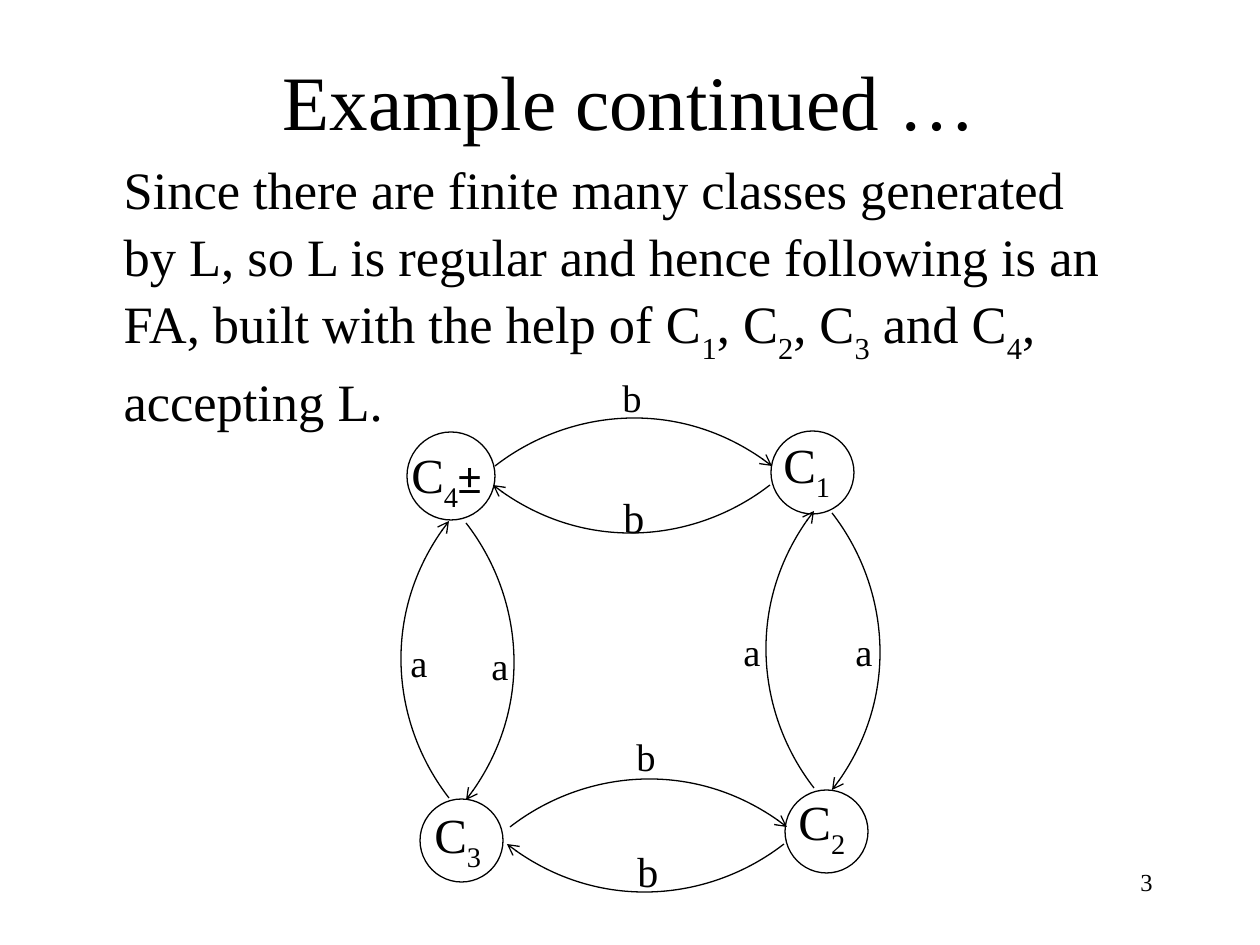
from lxml.etree import SubElement
from pptx import Presentation
from pptx.dml.color import RGBColor
from pptx.enum.shapes import MSO_SHAPE
from pptx.enum.text import MSO_ANCHOR, MSO_AUTO_SIZE, PP_ALIGN
from pptx.oxml.ns import qn
from pptx.util import Pt

SCALE = 914400 / 126
BLACK = RGBColor(0, 0, 0)
WHITE = RGBColor(255, 255, 255)
SERIF = "Times New Roman"
BOW = (0, 72 - 56j, 187 - 70j, 277)
ARCS = [(95, 98, 0), (370, 117, 2), (49, 430, 3), (66, 155, 1),
        (110, 459, 0), (384, 476, 2), (414, 420, 3), (432, 145, 1)]
NODES = [((7, 64, 88), (-1, 70), "C_4"), ((371, 63, 83), (371, 60), "C_1"),
         ((385, 422, 83), (386, 417), "C_2"), ((20, 431, 83), (22, 430), "C_3")]
MARKS = [("b", 22, 210, 0), ("b", 24, 211, 117), ("b", 22, 224, 359),
         ("b", 24, 225, 471), ("a", 22, -2, 265), ("a", 22, 79, 268),
         ("a", 22, 331, 254), ("a", 22, 443, 254)]


def px(*nums):
    """Turn px into EMU."""
    return [round(n * SCALE) for n in nums]


def style(item, **form):
    """Set each format value on an object."""
    for key, value in form.items():
        setattr(item, key, value)


def put(para, text, size, face=SERIF):
    """Add runs, with every second part between underscores lowered."""
    for i, part in enumerate(text.split("_")):
        run = para.add_run()
        run.text = part
        style(run.font, size=Pt(size), name=face)
        run.font.color.rgb = BLACK
        if i % 2:
            run._r.get_or_add_rPr().set("baseline", "-30000")


def fit(shape, box):
    """Move a placeholder to a box and return its first paragraph."""
    style(shape, **dict(zip(("left", "top", "width", "height"), px(*box))))
    style(shape.text_frame, word_wrap=True, auto_size=MSO_AUTO_SIZE.NONE)
    return shape.text_frame.paragraphs[0]


def label(slide, box, text, size):
    """Add a text box and return its paragraph."""
    para = fit(slide.shapes.add_textbox(*px(*box)), box)
    put(para, text, size)
    return para


def head(slide, box):
    """Fill the title."""
    para = fit(slide.shapes.title, box)
    slide.shapes.title.text_frame.vertical_anchor = MSO_ANCHOR.MIDDLE
    para.alignment = PP_ALIGN.CENTER
    put(para, "Example continued …", 44)


def body(slide, box):
    """Fill the body with one plain paragraph."""
    para = fit(slide.placeholders[1], box)
    props = para._p.get_or_add_pPr()
    props.set("marL", str(px(48)[0]))
    props.set("indent", "0")
    SubElement(props, qn("a:buNone"))
    style(para, line_spacing=1.06, space_before=Pt(0))
    put(para, "Since there are finite many classes generated by L, so L is "
        "regular and hence following is an FA, built with the help of "
        "C_1_, C_2_, C_3_ and C_4_, accepting L.", 30)


def arc(slide, x, y, turn):
    """Draw the bow from a point, turned by quarters, with an arrowhead."""
    ends = [complex(x, y) + p * 1j ** turn for p in BOW]
    dots = [tuple(px(p.real, p.imag)) for p in ends]
    pen = slide.shapes.build_freeform(*dots[0])
    pen.add_line_segments(dots[1:], close=False)
    shape = pen.convert_to_shape()
    shape.shadow.inherit = False
    shape.fill.background()
    style(shape.line, width=Pt(0.75))
    shape.line.color.rgb = BLACK
    SubElement(shape.line._get_or_add_ln(), qn("a:tailEnd"), type="arrow")
    lines = shape._element.xpath(".//a:lnTo")
    curve = SubElement(lines[0].getparent(), qn("a:cubicBezTo"))
    for line in lines:
        curve.append(line[0])
        line.getparent().remove(line)


def graph(slide, box):
    """Draw the automaton: states, arcs and letters."""
    left, top = box
    for (x, y, size), (u, v), name in NODES:
        disc = slide.shapes.add_shape(
            MSO_SHAPE.OVAL, *px(left + x, top + y, size, size))
        disc.shadow.inherit = False
        disc.fill.solid()
        disc.fill.fore_color.rgb = WHITE
        disc.line.color.rgb = BLACK
        disc.line.width = Pt(0.75)
        para = label(slide, (left + u, top + v, 116, 50), name, 28)
        if name == "C_4":
            put(para, "±", 24, "Arial")
    for x, y, turn in ARCS:
        arc(slide, left + x, top + y, turn)
    for text, size, x, y in MARKS:
        label(slide, (left + x, top + y, 52, 50), text, size)


def foot(slide, box):
    """Add the page number."""
    label(slide, box, "3", 14).alignment = PP_ALIGN.RIGHT


def main():
    """Build and save the slide."""
    deck = Presentation()
    deck.slide_width, deck.slide_height = px(1260, 945)
    slide = deck.slides.add_slide(deck.slide_layouts[1])
    head(slide, (94, 21, 1071, 158))
    body(slide, (63, 147, 1071, 567))
    graph(slide, (400, 368))
    foot(slide, (903, 861, 262, 63))
    deck.save("out.pptx")


if __name__ == "__main__":
    main()
